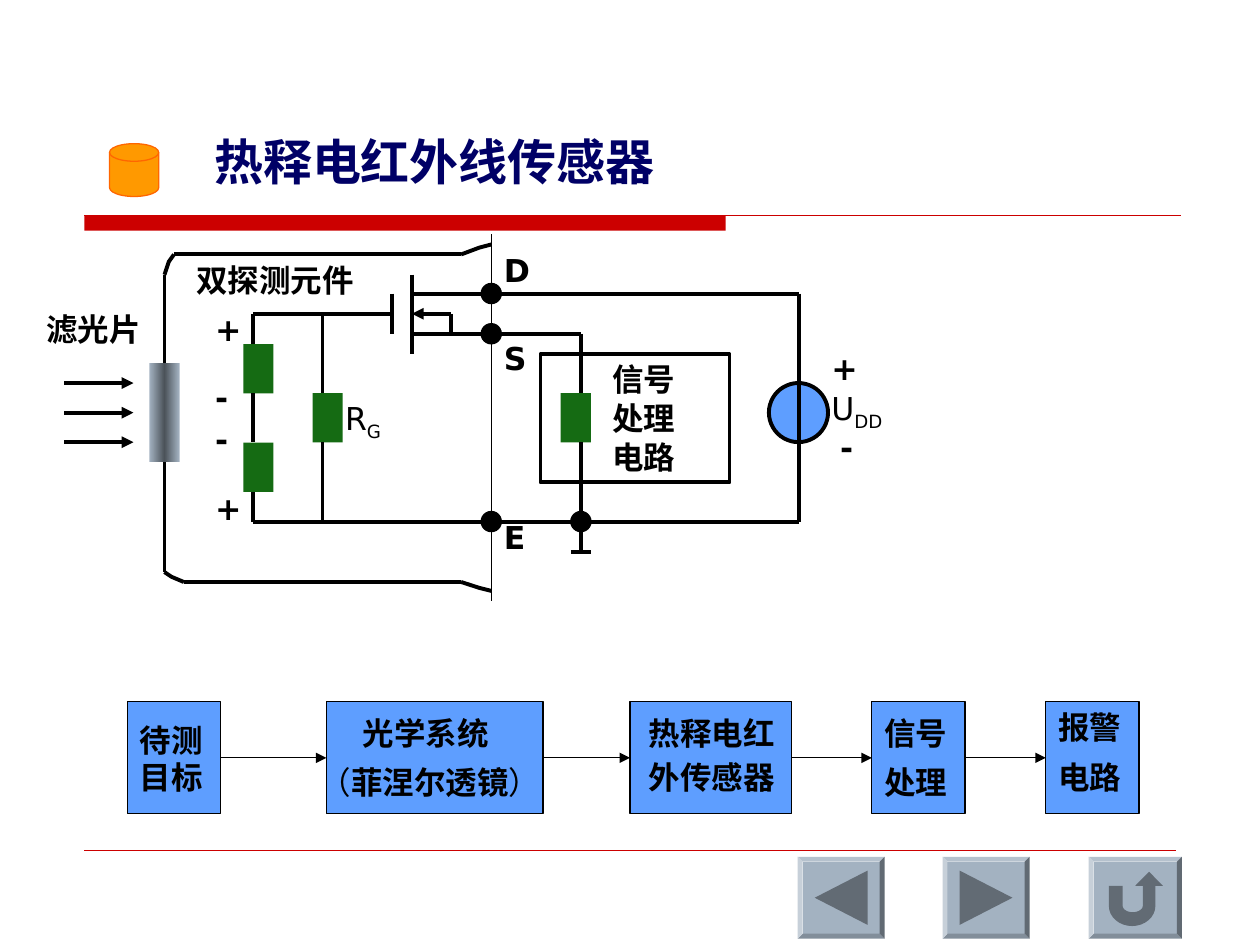
from copy import deepcopy
from math import cos, pi, sin

from lxml import etree
from pptx import Presentation
from pptx.dml.color import RGBColor
from pptx.enum.shapes import MSO_CONNECTOR, MSO_SHAPE
from pptx.enum.text import MSO_ANCHOR, MSO_AUTO_SIZE, PP_ALIGN
from pptx.oxml.ns import qn
from pptx.util import Pt

RECT = MSO_SHAPE.RECTANGLE
OVAL = MSO_SHAPE.OVAL
BEVEL = MSO_SHAPE.BEVEL
DISK = MSO_SHAPE.FLOWCHART_MAGNETIC_DISK
STRAIGHT = MSO_CONNECTOR.STRAIGHT
TOP, LEFT, BOTTOM, RIGHT = range(4)

BLACK = RGBColor(0x00, 0x00, 0x00)
NAVY = RGBColor(0x00, 0x00, 0x66)
RED = RGBColor(0xCC, 0x00, 0x00)
ORANGE = RGBColor(0xFF, 0x99, 0x00)
DARK_ORANGE = RGBColor(0xFF, 0x66, 0x00)
BLUE = RGBColor(0x5E, 0x9E, 0xFF)
GREEN = RGBColor(0x15, 0x6B, 0x13)
STEEL = RGBColor(0xA3, 0xB2, 0xC1)
DARK_STEEL = RGBColor(0x4B, 0x52, 0x59)
ICON = RGBColor(0x62, 0x6B, 0x74)


class Board:
    font = "DejaVu Sans"
    size = 18
    thin = 0.75
    thick = 2.25

    def __init__(self, slide):
        self.slide = slide
        self.shapes = slide.shapes

    def paint(self, sp, fill, line, width):
        sp.shadow.inherit = False
        if fill is None:
            sp.fill.background()
        else:
            sp.fill.solid()
            sp.fill.fore_color.rgb = fill
        if line is None:
            sp.line.fill.background()
        else:
            sp.line.color.rgb = line
            sp.line.width = Pt(width)
        return sp

    def shape(self, kind, x, y, w, h, fill=None, line=None, width=thin):
        sp = self.shapes.add_shape(kind, Pt(x), Pt(y), Pt(w), Pt(h))
        return self.paint(sp, fill, line, width)

    def outline(self, points, fill=None, line=None, width=thick):
        pts = [(Pt(x), Pt(y)) for x, y in points]
        fb = self.shapes.build_freeform(*pts[0])
        fb.add_line_segments(pts[1:], close=fill is not None)
        return self.paint(fb.convert_to_shape(), fill, line, width)

    def line(self, x1, y1, x2, y2, width=thick, color=BLACK, arrow=False):
        cn = self.shapes.add_connector(STRAIGHT, Pt(x1), Pt(y1), Pt(x2), Pt(y2))
        cn.line.color.rgb = color
        cn.line.width = Pt(width)
        if arrow:
            etree.SubElement(cn.line._get_or_add_ln(), qn("a:tailEnd"), type="triangle")
        etree.SubElement(cn._element.spPr, qn("a:effectLst"))
        return cn

    def run(self, p, text, size=size, color=BLACK, bold=True, sub=False):
        r = p.add_run()
        r.text = text
        r.font.size = Pt(size)
        r.font.bold = bold
        r.font.color.rgb = color
        r.font.name = self.font
        rpr = r._r.get_or_add_rPr()
        etree.SubElement(rpr, qn("a:ea"), typeface=self.font)
        if sub:
            rpr.set("baseline", "-25000")

    def title(self, text, x, y, w, h):
        sp = self.shapes.title
        sp.left, sp.top, sp.width, sp.height = Pt(x), Pt(y), Pt(w), Pt(h)
        tf = sp.text_frame
        tf.vertical_anchor = MSO_ANCHOR.TOP
        tf.auto_size = MSO_AUTO_SIZE.NONE
        p = tf.paragraphs[0]
        p.alignment = PP_ALIGN.LEFT
        self.run(p, text, 28, NAVY)

    def label(self, x, y, w, *runs):
        sp = self.shapes.add_textbox(Pt(x), Pt(y), Pt(w), Pt(29))
        tf = sp.text_frame
        tf.word_wrap = True
        tf.auto_size = MSO_AUTO_SIZE.SHAPE_TO_FIT_TEXT
        for text, style in runs:
            self.run(tf.paragraphs[0], text, **style)

    def filter_plate(self, x, y, w, h):
        sp = self.shape(RECT, x, y, w, h)
        sp.fill.gradient()
        sp.fill.gradient_angle = 0
        stops = sp._element.spPr.find(qn("a:gradFill")).find(qn("a:gsLst"))
        stops.insert(1, deepcopy(stops[0]))
        for stop, pos, color in zip(sp.fill.gradient_stops, (0, 0.5, 1), (STEEL, DARK_STEEL, STEEL)):
            stop.position = pos
            stop.color.rgb = color
        return sp

    def button(self, x, w, icon):
        y, h = 489.6, 46.8
        sp = self.shape(BEVEL, x, y, w, h, STEEL)
        sp.adjustments[0] = 0.06
        self.outline([(x + w / 2 + dx, y + h / 2 + dy) for dx, dy in icon], ICON)


def half_ring(cx, cy, rx, ry, start, end, steps=16):
    angles = [start + (end - start) * i / steps for i in range(steps + 1)]
    return [(cx + rx * cos(a), cy + ry * sin(a)) for a in angles]


def draw_frame(b):
    b.shape(RECT, 48.2, 123.1, 366.5, 8.7, RED)
    b.line(48.2, 123.1, 674.6, 123.1, b.thin, RED)
    b.line(48.2, 486, 671.8, 486, 0.25, RED)
    b.shape(DISK, 62.6, 82.1, 28.1, 30.2, ORANGE, DARK_ORANGE)
    b.title("热释电红外线传感器", 115.2, 71.3, 347, 41)
    back = [(-15.1, 0), (15.1, -15.5), (15.1, 15.5)]
    u_turn = [(-15.1, -6.8), (-7.2, -6.8), *half_ring(-1.45, 4.7, 5.75, 3.6, pi, 0),
              (4.3, -6.8), (0, -6.8), (7.9, -14.8), (15.8, -6.8), (11.5, -6.8),
              *half_ring(-1.8, 4.7, 13.3, 11.5, 0, pi)]
    b.button(455.8, 49.7, back)
    b.button(538.6, 49.7, [(-dx, dy) for dx, dy in back])
    b.button(622.1, 53.3, u_turn)


def draw_flow(b):
    boxes = [b.shape(RECT, x, 401, w, 64.1, BLUE, BLACK)
             for x, w in ((72.7, 53.3), (186.5, 123.8), (360, 92.2), (498.2, 53.3), (597.6, 53.3))]
    for first, second in zip(boxes, boxes[1:]):
        cn = b.line(0, 0, 1, 1, b.thin, arrow=True)
        cn.begin_connect(first, RIGHT)
        cn.end_connect(second, LEFT)


def draw_circuit(b):
    for x, y in ((139, 196.6), (139, 252.9), (178.6, 224.6), (320.4, 224.6)):
        b.shape(RECT, x, y, 17.2, 28.2, GREEN)
    wires = [
        (144.7, 196.6, 144.7, 179.3), (144.7, 281.3, 144.7, 298.1),
        (184.3, 224.6, 184.3, 179.3), (184.3, 252.8, 184.3, 298.1),
        (144.7, 179.3, 223.9, 179.3), (223.9, 167.8, 223.9, 190.8),
        (235.4, 157, 235.4, 202.3), (144.7, 224.6, 144.7, 252.8),
        (235.4, 190.8, 331.9, 190.8), (235.4, 167.8, 456.5, 167.8),
        (257.8, 179.3, 257.8, 190.8), (331.9, 190.8, 331.9, 224.6),
        (144.7, 298.1, 456.5, 298.1), (331.9, 252.8, 331.9, 315.4),
        (326.2, 315.4, 337.7, 315.4), (456.5, 167.8, 456.5, 298.1),
    ]
    for wire in wires:
        b.line(*wire)
    b.line(257.8, 179.3, 235.4, 179.3, arrow=True)
    b.line(280.8, 133.9, 280.8, 343.4, b.thin)
    b.shape(RECT, 308.9, 202.3, 108, 73.4, None, BLACK, b.thick)
    b.shape(OVAL, 439.4, 218.9, 33.8, 33.8, BLUE, BLACK, b.thick)
    b.line(456.5, 218.9, 456.5, 258.5)
    for x, y in ((275, 162), (275, 185), (275, 292.3), (326.2, 292.3)):
        b.shape(OVAL, x, y, 11.5, 11.5, BLACK, BLACK)


def draw_housing(b):
    plate = b.filter_plate(85.4, 207.4, 17.2, 56.9)
    b.line(94, 157, 94, 207.4).end_connect(plate, TOP)
    b.line(94, 264.3, 94, 326.9).begin_connect(plate, BOTTOM)
    b.line(99.4, 145.4, 263.5, 145.4)
    b.line(105.1, 332.6, 263.5, 332.6)
    for curve in ([(94, 157), (96.5, 149.5), (99.4, 145.4)],
                  [(105.1, 332.6), (98, 329.6), (94, 326.9)],
                  [(263.5, 145.4), (274, 141.5), (280.8, 139.7)],
                  [(263.5, 332.6), (274, 336), (280.8, 337.7)]):
        b.outline(curve, None, BLACK)
    for y in (218.9, 235.8, 252.7):
        b.line(36.7, y, 76.3, y, arrow=True)


def draw_labels(b):
    labels = [
        ("待测", 72.7, 408.2, 53.3), ("目标", 72.7, 429.8, 53.3),
        ("光学系统", 200.2, 404.6, 99.4),
        ("热释电红", 363.6, 404.6, 95.8), ("外传感器", 363.6, 429.8, 106.6),
        ("信号", 498.2, 404.6, 64.1), ("处理", 498.2, 432.7, 64.1),
        ("报警", 597.6, 401, 56.9), ("电路", 597.6, 429.8, 67),
        ("+", 468, 195.8, 39.6), ("-", 473, 241.2, 33.8),
        ("S", 280.8, 190.1, 28.1), ("D", 280.8, 139.7, 45.4), ("E", 280.8, 292.3, 45.4),
        ("+", 115.9, 173.5, 39.6), ("-", 115.9, 212.4, 39.6),
        ("-", 115.9, 236.2, 39.6), ("+", 115.9, 275.8, 39.6),
        ("双探测元件", 105.1, 145.4, 108), ("滤光片", 19.4, 173.5, 79.2),
        ("信号", 342.7, 202.3, 67.7), ("处理", 342.7, 224.6, 67.7), ("电路", 342.7, 247, 62.6),
    ]
    for text, x, y, w in labels:
        b.label(x, y, w, (text, {}))
    plain = {"bold": False}
    b.label(175.7, 432.7, 141.8, ("（", plain), ("菲涅尔透镜", {}), ("）", plain))
    for x, y, w, name, index in ((468, 218.9, 62.6, "U", "DD"), (190.1, 224.6, 51.1, "R", "G")):
        b.label(x, y, w, (name, plain), (index, {"bold": False, "sub": True}))


def main():
    prs = Presentation()
    prs.slide_width, prs.slide_height = Pt(720), Pt(540)
    b = Board(prs.slides.add_slide(prs.slide_layouts[5]))
    for draw in (draw_frame, draw_flow, draw_circuit, draw_housing, draw_labels):
        draw(b)
    prs.save("out.pptx")


if __name__ == "__main__":
    main()
